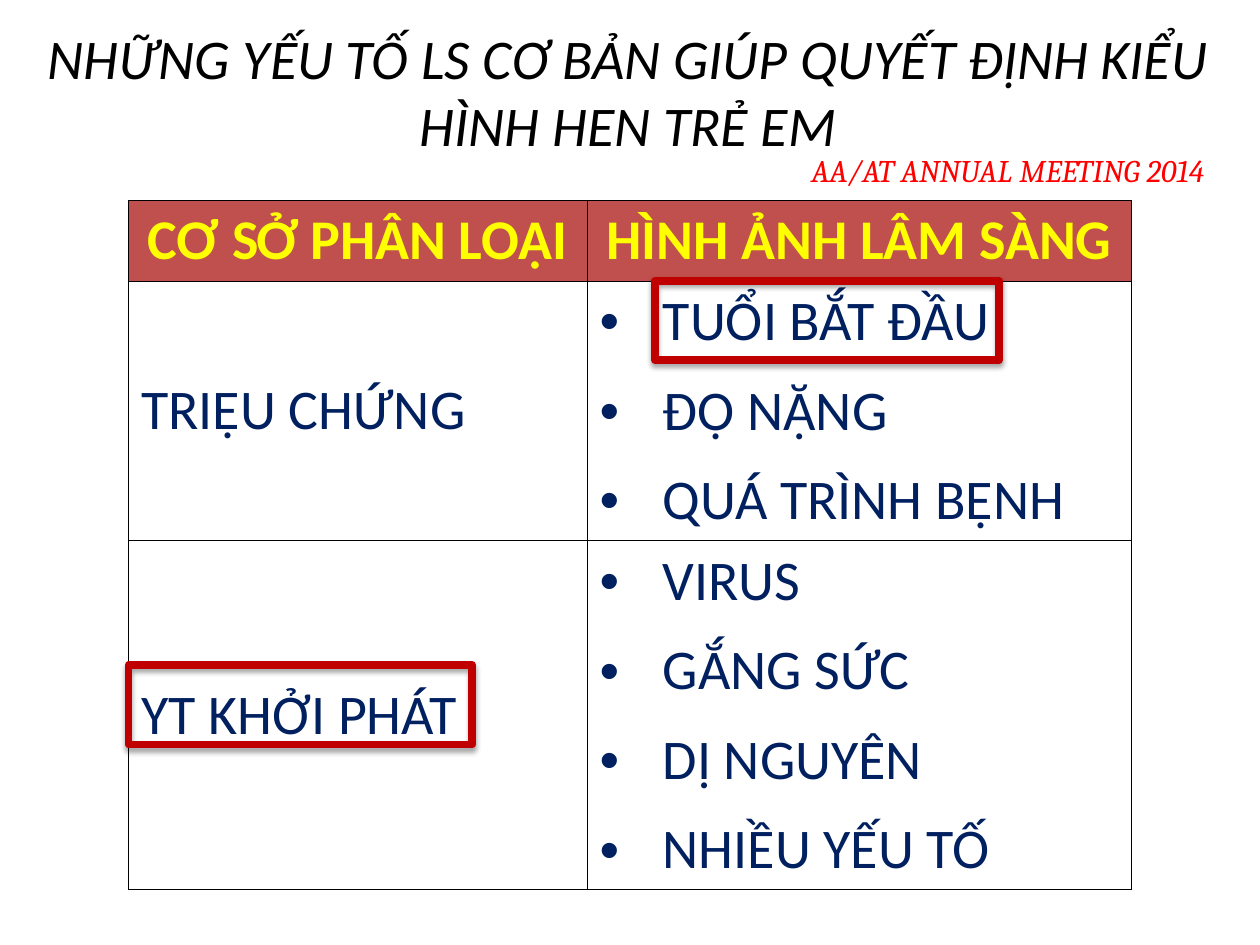
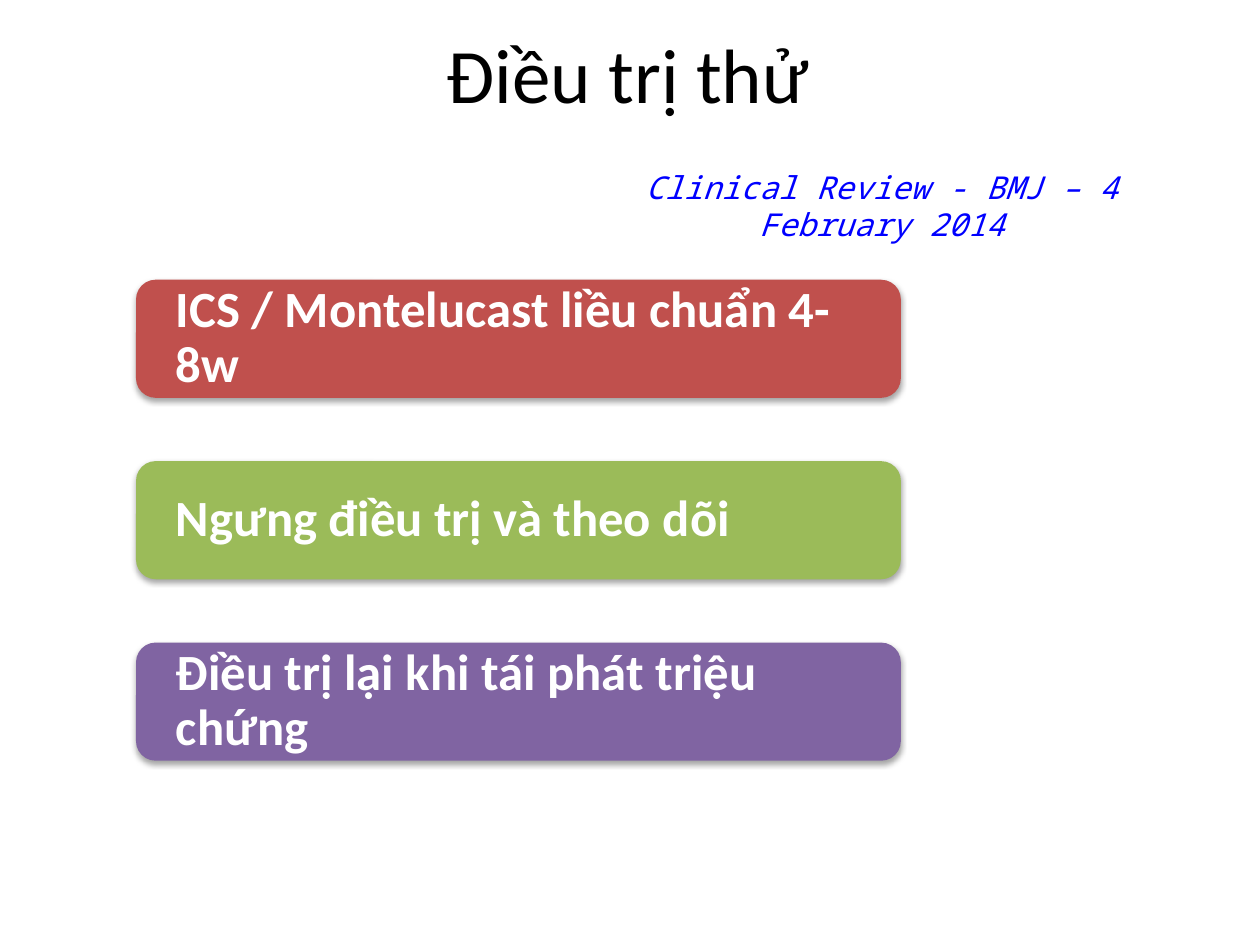
from itertools import product

from lxml.etree import SubElement
from pptx import Presentation
from pptx.dml.color import RGBColor
from pptx.enum.shapes import MSO_SHAPE as Shape
from pptx.enum.text import MSO_ANCHOR as Anchor, PP_ALIGN as Align
from pptx.oxml.ns import qn
from pptx.util import Inches, Pt

WIDTH, HEIGHT = Inches(10), Inches(7.5)

BLACK = RGBColor(0x00, 0x00, 0x00)
WHITE = RGBColor(0xFF, 0xFF, 0xFF)
YELLOW = RGBColor(0xFF, 0xFF, 0x00)
NAVY = RGBColor(0x00, 0x20, 0x60)
RED = RGBColor(0xFF, 0x00, 0x00)
BLUE = RGBColor(0x00, 0x00, 0xFF)
DARK_RED = RGBColor(0xC0, 0x00, 0x00)
BRICK = RGBColor(0xC0, 0x50, 0x4D)
GREEN = RGBColor(0x9B, 0xBB, 0x59)
PURPLE = RGBColor(0x80, 0x64, 0xA2)

TITLE = {"name": "Calibri", "size": Pt(44), "color": BLACK}
LONG_TITLE = TITLE | {"size": Pt(32), "italic": True}
SOURCE = {"name": "Cambria", "size": Pt(18), "color": RED, "italic": True}
REVIEW = SOURCE | {"name": "Noto Sans Mono", "color": BLUE}
CELL = {"name": "Calibri", "size": Pt(32), "color": NAVY, "bold": False}
HEADER = CELL | {"color": YELLOW, "bold": True}
STEP = {"name": "Calibri", "size": Pt(29), "color": WHITE, "bold": True}

HEADERS = ["CƠ SỞ PHÂN LOẠI", "HÌNH ẢNH LÂM SÀNG"]
CRITERIA = [
    ("TRIỆU CHỨNG", ["TUỔI BẮT ĐẦU", "ĐỘ NẶNG", "QUÁ TRÌNH BỆNH"]),
    ("YT KHỞI PHÁT", ["VIRUS", "GẮNG SỨC", "DỊ NGUYÊN", "NHIỀU YẾU TỐ"]),
]
STEPS = [
    ("ICS / Montelucast liều chuẩn 4-8w", BRICK),
    ("Ngưng điều trị và theo dõi", GREEN),
    ("Điều trị lại khi tái phát triệu chứng", PURPLE),
]


def across(percent):
    return round(WIDTH * percent / 100)


def down(percent):
    return round(HEIGHT * percent / 100)


def place(left, top, width, height):
    return across(left), down(top), across(width), down(height)


def set_values(target, values):
    for name, value in values.items():
        setattr(target, name, value)


def add_element(parent, tag, **attributes):
    return SubElement(parent, qn(tag), attributes)


def write(paragraph, text, style, **layout):
    paragraph.text = text
    set_values(paragraph, layout)
    font = paragraph.runs[0].font
    set_values(font, {key: value for key, value in style.items() if key != "color"})
    font.color.rgb = style["color"]


def add_text(slide, area, text, style, align=Align.LEFT, anchor=Anchor.TOP):
    frame = slide.shapes.add_textbox(*place(*area)).text_frame
    set_values(frame, {"word_wrap": True, "vertical_anchor": anchor})
    write(frame.paragraphs[0], text, style, alignment=align)


def add_title(slide, text, style, height):
    add_text(slide, (1.1, 2, 97.5, height), text, style, Align.CENTER, Anchor.MIDDLE)


def add_shadow(shape):
    shape.shadow.inherit = False
    effects = shape._element.spPr.find(qn("a:effectLst"))
    shadow = add_element(effects, "a:outerShdw", blurRad=str(Pt(3.1)), dist=str(Pt(1.8)),
                         dir="5400000", rotWithShape="0")
    color = add_element(shadow, "a:srgbClr", val=str(BLACK))
    add_element(color, "a:alpha", val="35000")


def add_highlight(slide, left, top):
    shape = slide.shapes.add_shape(Shape.RECTANGLE, *place(left, top, 27.3, 8.4))
    shape.fill.background()
    shape.line.color.rgb = DARK_RED
    shape.line.width = Pt(4.5)
    add_shadow(shape)


def add_step(slide, row, text, color):
    area = place(10.8, 29.6 + 19.2 * row, 60.7, 12.5)
    shape = slide.shapes.add_shape(Shape.ROUNDED_RECTANGLE, *area)
    shape.fill.solid()
    shape.fill.fore_color.rgb = color
    shape.line.fill.background()
    add_shadow(shape)
    frame = shape.text_frame
    set_values(frame, {"word_wrap": True, "vertical_anchor": Anchor.MIDDLE,
                       "margin_left": Inches(0.27), "margin_right": Inches(0.27),
                       "margin_top": 0, "margin_bottom": 0})
    write(frame.paragraphs[0], text, STEP, alignment=Align.LEFT, line_spacing=0.9)


def add_bullet(paragraph):
    properties = paragraph._p.get_or_add_pPr()
    properties.set("marL", str(Inches(0.5)))
    properties.set("indent", str(-Inches(0.5)))
    add_element(properties, "a:buFont", typeface="Arial")
    add_element(properties, "a:buChar", char="•")


def add_borders(cell):
    properties = cell._tc.get_or_add_tcPr()
    for index, side in enumerate(("lnL", "lnR", "lnT", "lnB")):
        line = add_element(properties, f"a:{side}", w=str(Pt(0.5)))
        fill = add_element(line, "a:solidFill")
        add_element(fill, "a:srgbClr", val=str(BLACK))
        properties.insert(index, line)


def fill_cell(cell, lines, style, fill, align=Align.LEFT, bulleted=False):
    cell.vertical_anchor = Anchor.MIDDLE
    cell.fill.solid()
    cell.fill.fore_color.rgb = fill
    add_borders(cell)
    frame = cell.text_frame
    for index, text in enumerate(lines):
        paragraph = frame.add_paragraph() if index else frame.paragraphs[0]
        if bulleted:
            add_bullet(paragraph)
        spacing = {"space_before": Pt(6)} if index else {}
        write(paragraph, text, style, alignment=align, space_after=Pt(6), **spacing)


def add_criteria_table(slide):
    widths, heights = (36.4, 43.2), (8.53, 27.47, 36.93)
    area = place(10.2, 21.2, sum(widths), sum(heights))
    table = slide.shapes.add_table(len(heights), len(widths), *area).table
    set_values(table, {"first_row": False, "horz_banding": False})
    for column, width in zip(table.columns, widths):
        column.width = across(width)
    for row, height in zip(table.rows, heights):
        row.height = down(height)
    for index, text in enumerate(HEADERS):
        fill_cell(table.cell(0, index), [text], HEADER, BRICK, Align.CENTER)
    for row, column in product(range(len(CRITERIA)), range(len(widths))):
        content = CRITERIA[row][column]
        bulleted = isinstance(content, list)
        lines = content if bulleted else [content]
        fill_cell(table.cell(row + 1, column), lines, CELL, WHITE, bulleted=bulleted)


def build_phenotype_slide(slide):
    add_title(slide, "NHỮNG YẾU TỐ LS CƠ BẢN GIÚP QUYẾT ĐỊNH KIỂU HÌNH HEN TRẺ EM",
              LONG_TITLE, 15.2)
    add_criteria_table(slide)
    add_text(slide, (63.4, 15.33, 36.1, 5.33), "AA/AT ANNUAL MEETING 2014", SOURCE)
    add_highlight(slide, 10.2, 70.4)
    add_highlight(slide, 52, 29.73)


def build_trial_slide(slide):
    add_title(slide, "Điều trị thử", TITLE, 11.33)
    for row, (text, color) in enumerate(STEPS):
        add_step(slide, row, text, color)
    add_text(slide, (45, 17.07, 50, 5.33), "Clinical Review - BMJ – 4 February 2014",
             REVIEW, Align.CENTER)


def main():
    presentation = Presentation()
    set_values(presentation, {"slide_width": WIDTH, "slide_height": HEIGHT})
    for build in (build_phenotype_slide, build_trial_slide):
        build(presentation.slides.add_slide(presentation.slide_layouts[6]))
    presentation.save("out.pptx")


if __name__ == "__main__":
    main()
